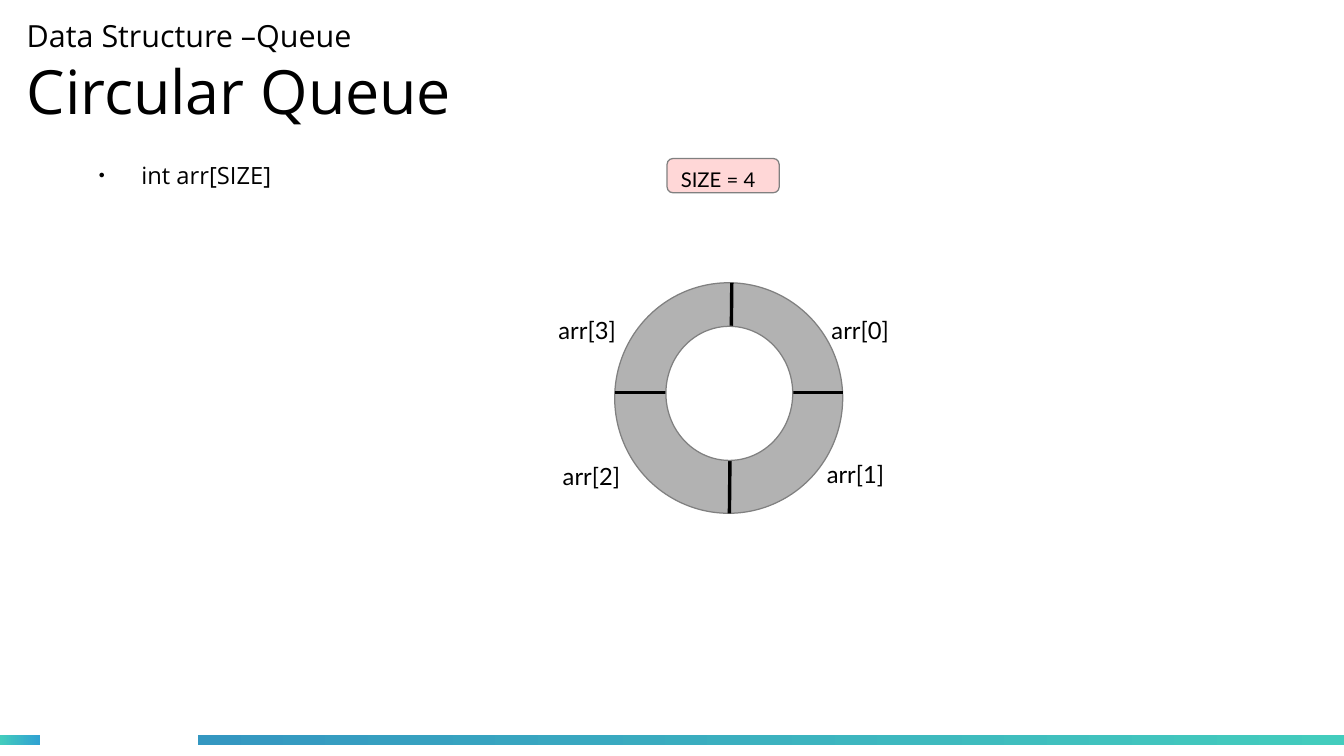
from dataclasses import dataclass

from lxml import etree
from pptx import Presentation
from pptx.dml.color import RGBColor
from pptx.enum.shapes import MSO_CONNECTOR, MSO_SHAPE
from pptx.enum.text import MSO_ANCHOR, MSO_AUTO_SIZE, PP_ALIGN
from pptx.oxml.ns import qn
from pptx.util import Pt

RECT, ROUND, OVAL = MSO_SHAPE.RECTANGLE, MSO_SHAPE.ROUNDED_RECTANGLE, MSO_SHAPE.OVAL
STRAIGHT = MSO_CONNECTOR.STRAIGHT
TOP, MIDDLE = MSO_ANCHOR.TOP, MSO_ANCHOR.MIDDLE
LEFT, NO_FIT = PP_ALIGN.LEFT, MSO_AUTO_SIZE.NONE
BLACK, GRAY = "000000", "808080"


@dataclass
class Box:
    x: float
    y: float
    w: float
    h: float


@dataclass
class Bar:
    box: Box
    start: str
    end: str


@dataclass
class Label:
    text: str
    box: Box


@dataclass
class Ring:
    box: Box
    fill: str


@dataclass
class Divider:
    x1: float
    y1: float
    x2: float
    y2: float


BARS = [
    Bar(Box(0, 434.2, 23.4, 5.8), "43CCBD", "30A2D2"),
    Bar(Box(117, 434.2, 676.4, 5.8), "3497C1", "43CCBD"),
]
LABELS = [
    Label("arr[0]", Box(483.8, 182.9, 57.6, 27.4)),
    Label("arr[1]", Box(481, 267.8, 57.6, 27.4)),
    Label("arr[2]", Box(325.1, 269.3, 63.4, 27.4)),
    Label("arr[3]", Box(322.6, 182.9, 57.6, 27.4)),
]
OUTER = Ring(Box(362.9, 167, 134.6, 136.1), "B2B2B2")
INNER = Ring(Box(393.1, 192.7, 74.9, 79.2), "FFFFFF")
DIVIDERS = [Divider(432, 167, 430.6, 303.1), Divider(362.9, 231.8, 497.5, 231.8)]


def rgb(color: str) -> RGBColor:
    return RGBColor.from_string(color)


def apply(target, formats: dict) -> None:
    for name, value in formats.items():
        setattr(target, name, value)


def place(sp, box: Box) -> None:
    apply(sp, {"left": Pt(box.x), "top": Pt(box.y), "width": Pt(box.w), "height": Pt(box.h)})


def format_frame(tf, anchor=TOP, side: float = 7.2, top: float = 3.6, bottom: float = 3.6) -> None:
    apply(tf, {
        "word_wrap": True, "auto_size": NO_FIT, "vertical_anchor": anchor,
        "margin_left": Pt(side), "margin_right": Pt(side),
        "margin_top": Pt(top), "margin_bottom": Pt(bottom),
    })


def add_run(p, text: str, size: float, font: str) -> None:
    r = p.add_run()
    r.text = text
    apply(r.font, {"size": Pt(size), "name": font})
    r.font.color.rgb = rgb(BLACK)


def add_outlined(s, kind, box: Box, fill: str):
    sp = s.shapes.add_shape(kind, Pt(box.x), Pt(box.y), Pt(box.w), Pt(box.h))
    sp.shadow.inherit = False
    sp.fill.solid()
    sp.fill.fore_color.rgb = rgb(fill)
    sp.line.color.rgb = rgb(GRAY)
    sp.line.width = Pt(0)
    return sp


def add_bar(s, bar: Bar) -> None:
    sp = s.shapes.add_shape(RECT, Pt(0), Pt(0), Pt(1), Pt(1))
    place(sp, bar.box)
    sp.shadow.inherit = False
    sp.line.fill.background()
    sp.fill.gradient()
    sp.fill.gradient_angle = 0
    for stop, color in zip(sp.fill.gradient_stops, (bar.start, bar.end)):
        stop.color.rgb = rgb(color)


def add_label(s, label: Label) -> None:
    b = label.box
    tf = s.shapes.add_textbox(Pt(b.x), Pt(b.y), Pt(b.w), Pt(b.h)).text_frame
    format_frame(tf)
    add_run(tf.paragraphs[0], label.text, 14, "Lato")


def add_divider(s, d: Divider) -> None:
    line = s.shapes.add_connector(STRAIGHT, Pt(d.x1), Pt(d.y1), Pt(d.x2), Pt(d.y2))
    line.line.color.rgb = rgb(BLACK)
    line.line.width = Pt(0)
    etree.SubElement(line._element.spPr, qn("a:effectLst"))


def add_bullet(p) -> None:
    pPr = p._p.get_or_add_pPr()
    pPr.set("marL", str(Pt(33.8)))
    pPr.set("indent", str(Pt(-25.2)))
    color = etree.SubElement(pPr, qn("a:buClr"))
    etree.SubElement(color, qn("a:srgbClr"), val=BLACK)
    etree.SubElement(pPr, qn("a:buSzPct"), val="45000")
    etree.SubElement(pPr, qn("a:buChar"), char="●")


def fill_title(s) -> None:
    sp = s.shapes.title
    place(sp, Box(15.8, 5.8, 553, 73.4))
    format_frame(sp.text_frame, MIDDLE, 0, 0, 0)
    p = sp.text_frame.paragraphs[0]
    p.alignment = LEFT
    add_run(p, "Data Structure –Queue ", 18, "Open Sans")
    p.add_line_break()
    add_run(p, "Circular Queue", 36, "Open Sans")


def fill_body(s) -> None:
    sp = s.placeholders[1]
    place(sp, Box(42.5, 91.4, 141.8, 27.4))
    format_frame(sp.text_frame)
    p = sp.text_frame.paragraphs[0]
    apply(p, {"alignment": LEFT, "space_before": Pt(0), "space_after": Pt(11.4)})
    add_bullet(p)
    add_run(p, "int arr[SIZE]", 14, "Open Sans")


def add_size_box(s) -> None:
    sp = add_outlined(s, ROUND, Box(393.8, 93.6, 66.2, 20.2), "FFD7D7")
    sp.adjustments[0] = 0.17
    format_frame(sp.text_frame, top=4.3, bottom=0)
    p = sp.text_frame.paragraphs[0]
    p.alignment = LEFT
    add_run(p, "SIZE = 4", 12, "Lato")


def main() -> None:
    prs = Presentation()
    apply(prs, {"slide_width": Pt(793.4), "slide_height": Pt(446.4)})
    s = prs.slides.add_slide(prs.slide_layouts[1])
    for bar in BARS:
        add_bar(s, bar)
    fill_title(s)
    fill_body(s)
    add_size_box(s)
    for label in LABELS:
        add_label(s, label)
    add_outlined(s, OVAL, OUTER.box, OUTER.fill)
    for divider in DIVIDERS:
        add_divider(s, divider)
    add_outlined(s, OVAL, INNER.box, INNER.fill)
    prs.save("out.pptx")


if __name__ == "__main__":
    main()
